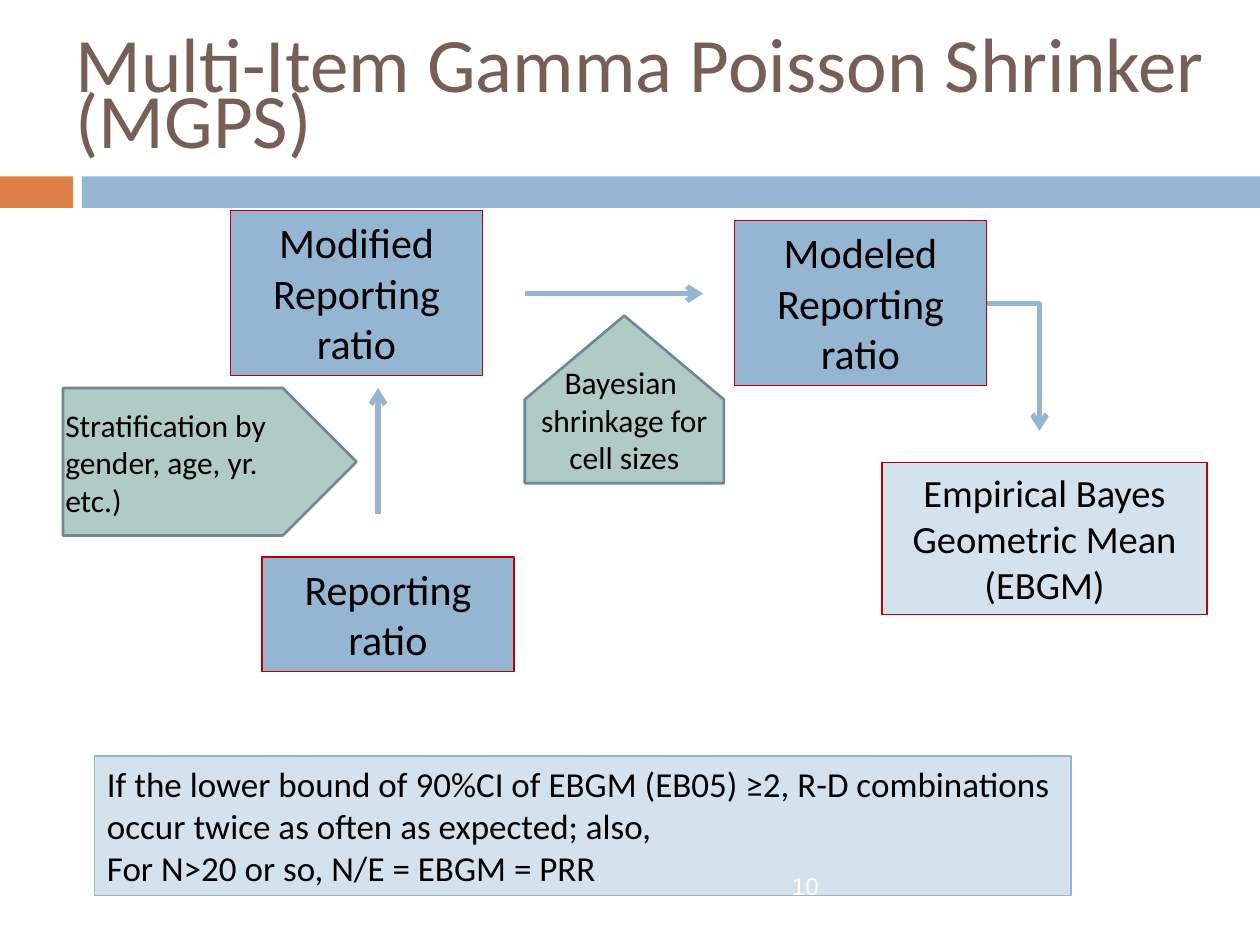
from lxml.etree import SubElement
from pptx import Presentation
from pptx.dml.color import RGBColor
from pptx.enum.shapes import MSO_CONNECTOR as Link, MSO_SHAPE as Shape
from pptx.enum.text import MSO_ANCHOR as Anchor, PP_ALIGN as Align
from pptx.oxml.ns import qn
from pptx.util import Inches, Pt

COLORS = {
    "title": "775F55",
    "text": "000000",
    "white": "FFFFFF",
    "orange": "DD8047",
    "blue": "94B6D2",
    "pale": "D4E2ED",
    "green": "B0CAC4",
    "slate": "6D879B",
    "red": "C00000",
}


def color(name):
    return RGBColor.from_string(COLORS[name])


def style_para(para, size, ink="text", align=Align.LEFT, font="Calibri"):
    para.alignment = align
    para.font.name = font
    para.font.size = Pt(size)
    para.font.color.rgb = color(ink)


def write(box, lines, size, anchor=Anchor.TOP, **style):
    frame = box.text_frame
    frame.word_wrap = True
    frame.vertical_anchor = anchor
    frame.text = "\n".join(lines)
    for para in frame.paragraphs:
        style_para(para, size, **style)


def add_block(page, kind, place, fill, line=None, width=0.75):
    block = page.shapes.add_shape(kind, *map(Inches, place))
    block.shadow.inherit = False
    block.fill.solid()
    block.fill.fore_color.rgb = color(fill)
    if line:
        block.line.color.rgb = color(line)
        block.line.width = Pt(width)
    else:
        block.line.fill.background()
    return block


def add_label(page, place, text, size, **style):
    box = page.shapes.add_textbox(*map(Inches, place))
    write(box, [text], size, **style)


def add_arrow(page, start, end, kind=Link.STRAIGHT):
    arrow = page.shapes.add_connector(kind, *map(Inches, start + end))
    arrow.line.color.rgb = color("blue")
    arrow.line.width = Pt(3)
    properties = arrow._element.spPr
    SubElement(properties.find(qn("a:ln")), qn("a:tailEnd"), type="arrow")
    SubElement(properties, qn("a:effectLst"))
    if kind == Link.ELBOW:  # a single bend: across, then down
        properties.find(qn("a:prstGeom")).set("prst", "bentConnector2")


def add_title(page):
    title = page.shapes.title
    title.left, title.top = Inches(0.5), Inches(0.3)
    title.width, title.height = Inches(9.33), Inches(1.12)
    title.text_frame.word_wrap = True
    title.text_frame.vertical_anchor = Anchor.MIDDLE
    para = title.text_frame.paragraphs[0]
    para.add_run().text = "Multi-Item Gamma Poisson Shrinker"
    para.add_line_break()
    para.add_run().text = "(MGPS)"
    para.line_spacing = Pt(32)
    style_para(para, 44, "title")


def main():
    deck = Presentation()
    deck.slide_width, deck.slide_height = Inches(10), Inches(7.5)
    page = deck.slides.add_slide(deck.slide_layouts[5])

    # Title and the band below it
    add_title(page)
    add_block(page, Shape.RECTANGLE, (0, 1.4, 0.58, 0.25), "orange")
    add_block(page, Shape.RECTANGLE, (0.65, 1.4, 9.35, 0.25), "blue")

    # Ratios and the resulting mean
    steps = [
        ("Reporting ratio", (2.08, 4.42, 2, 0.91), "blue", 24),
        ("Modified Reporting ratio", (1.83, 1.67, 2, 1.31), "blue", 24),
        ("Modeled Reporting ratio", (5.83, 1.75, 2, 1.31), "blue", 24),
        ("Empirical Bayes Geometric Mean (EBGM)",
         (7, 3.67, 2.58, 1.21), "pale", 22),
    ]
    for text, place, fill, size in steps:
        step = add_block(page, Shape.RECTANGLE, place, fill, "red")
        write(step, [text], size, align=Align.CENTER)

    # Arrows between the steps
    add_arrow(page, (3, 4.08), (3, 3.08))
    add_arrow(page, (4.17, 2.33), (5.58, 2.33))
    add_arrow(page, (7.83, 2.41), (8.25, 3.42), Link.ELBOW)

    # Pentagons that explain the arrows
    add_block(page, Shape.PENTAGON, (0.5, 3.08, 2.33, 1.17),
              "green", "slate", 1.5)
    add_label(page, (0.42, 3.17, 2.17, 1.01),
              "Stratification by gender, age, yr. etc.)", 18)
    shrinkage = add_block(page, Shape.PENTAGON, (4.29, 2.38, 1.33, 1.58),
                          "green", "slate", 1.5)
    shrinkage.rotation = 270
    add_label(page, (4.08, 2.83, 1.75, 1.01),
              "Bayesian  shrinkage for cell sizes", 18, align=Align.CENTER)

    # Interpretation
    note = add_block(page, Shape.RECTANGLE, (0.75, 6, 7.75, 1.11),
                     "pale", "blue")
    write(note, [
        "If the lower bound of 90%CI of EBGM (EB05) ≥2, R-D combinations "
        "occur twice as often as expected; also,",
        "For N>20 or so, N/E = EBGM = PRR",
    ], 20)

    # Page number
    add_label(page, (0.67, 6.83, 5.93, 0.4), "10", 14, anchor=Anchor.MIDDLE,
              ink="white", align=Align.RIGHT, font="Arial")

    deck.save("out.pptx")


if __name__ == "__main__":
    main()
